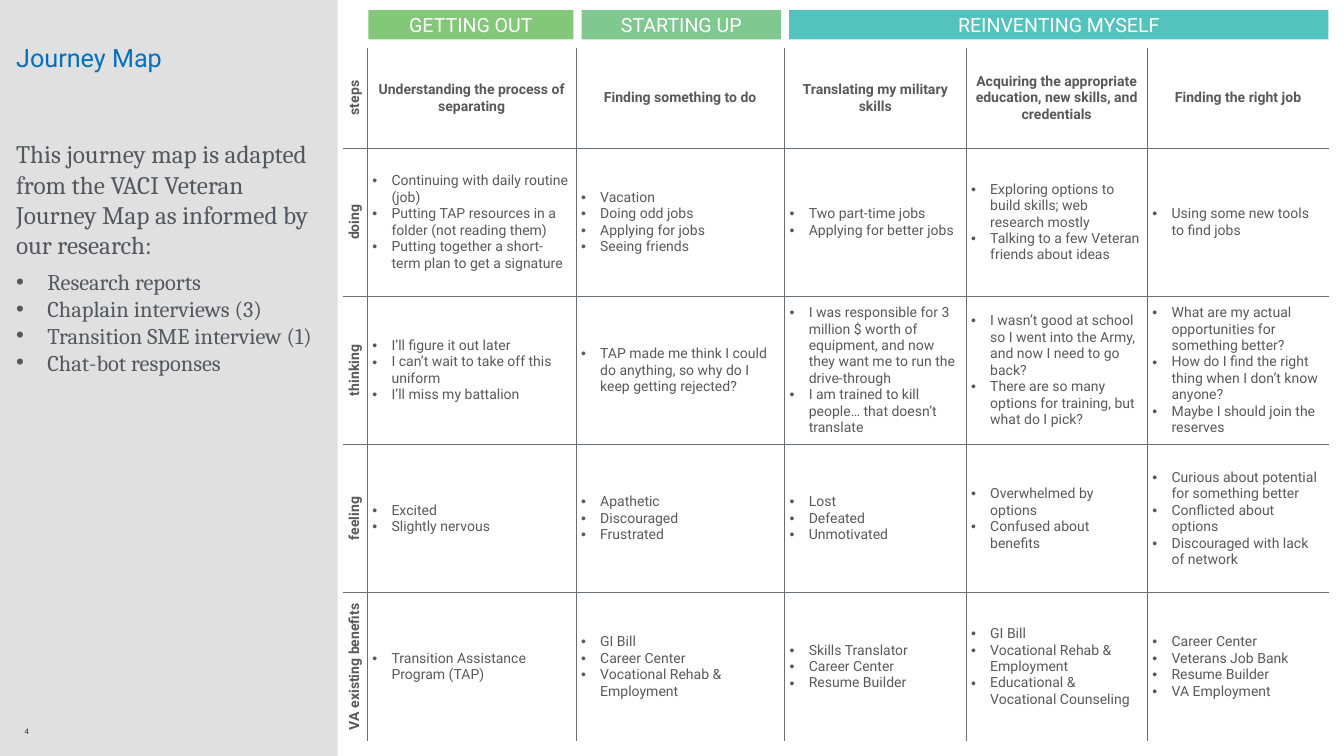
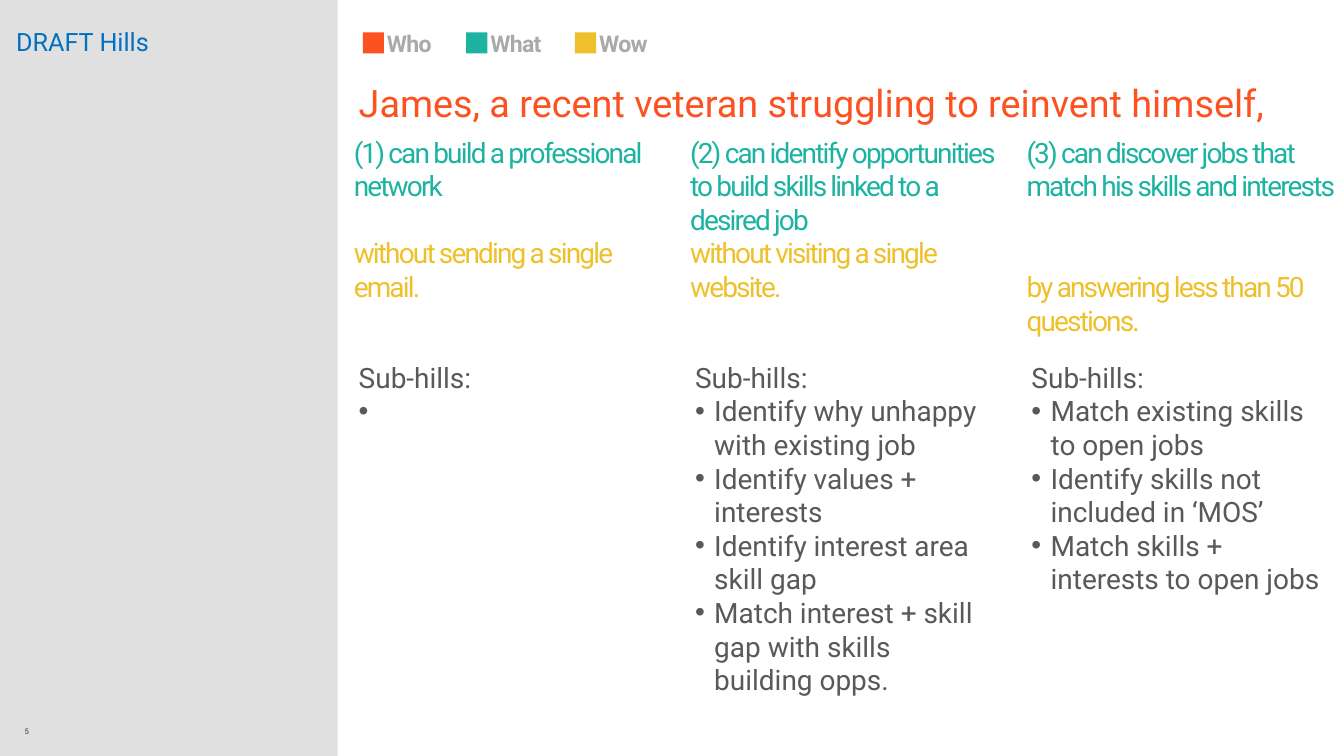
from itertools import accumulate

from lxml.etree import SubElement
from pptx import Presentation
from pptx.dml.color import RGBColor
from pptx.enum.shapes import MSO_SHAPE as Shape
from pptx.enum.text import MSO_ANCHOR as Anchor, MSO_AUTO_SIZE as AutoSize, PP_ALIGN as Align
from pptx.oxml.ns import qn
from pptx.util import Inches, Pt

COLORS = {
    "sidebar": "E0E0E0", "title": "0070C0", "number": "323232", "intro": "53585F",
    "text": "595959", "rule": "686F76", "white": "FFFFFF", "legend": "A9A9A9",
    "getting out": "83C879", "starting up": "81C890", "reinventing": "54C3BD",
    "who": "FC5120", "what": "1CB3A0", "wow": "EEC02B",
}
TITLE_ONLY = 5
BULLET_INDENT = 0.38
HILL_LINE = 48  # points per line of hill text

INTRO = "This journey map is adapted from the VACI Veteran Journey Map as informed by our research:"
SOURCES = ["Research reports", "Chaplain interviews (3)", "Transition SME interview (1)",
           "Chat-bot responses"]
PHASES = [("GETTING OUT", 4.07, "getting out"), ("STARTING UP", 3.96, "starting up"),
          ("REINVENTING MYSELF", 10.7, "reinventing")]
COLUMN_WIDTHS = [0.47, 4.14, 4.14, 3.6, 3.6, 3.6]
ROW_HEIGHTS = [1.99, 2.94, 2.94, 2.94, 2.94]
STEPS = ["Understanding the process of separating", "Finding something to do",
         "Translating my military skills",
         "Acquiring the appropriate education, new skills, and credentials",
         "Finding the right job"]
JOURNEY = {
    "doing": [
        ["Continuing with daily routine (job)",
         "Putting TAP resources in a folder (not reading them)",
         "Putting together a short-term plan to get a signature"],
        ["Vacation", "Doing odd jobs", "Applying for jobs", "Seeing friends"],
        ["Two part-time jobs", "Applying for better jobs"],
        ["Exploring options to build skills; web research mostly",
         "Talking to a few Veteran friends about ideas"],
        ["Using some new tools to find jobs"],
    ],
    "thinking": [
        ["I’ll figure it out later", "I can’t wait to take off this uniform",
         "I’ll miss my battalion"],
        ["TAP made me think I could do anything, so why do I keep getting rejected?"],
        ["I was responsible for 3 million $ worth of equipment, and now they want me "
         "to run the drive-through",
         "I am trained to kill people… that doesn’t translate"],
        ["I wasn’t good at school so I went into the Army, and now I need to go back?",
         "There are so many options for training, but what do I pick?"],
        ["What are my actual opportunities for something better?",
         "How do I find the right thing when I don’t know anyone?",
         "Maybe I should join the reserves"],
    ],
    "feeling": [
        ["Excited", "Slightly nervous"],
        ["Apathetic", "Discouraged", "Frustrated"],
        ["Lost", "Defeated", "Unmotivated"],
        ["Overwhelmed by options", "Confused about benefits"],
        ["Curious about potential for something better", "Conflicted about options",
         "Discouraged with lack of network"],
    ],
    "VA existing benefits": [
        ["Transition Assistance Program (TAP)"],
        ["GI Bill", "Career Center", "Vocational Rehab & Employment"],
        ["Skills Translator", "Career Center", "Resume Builder"],
        ["GI Bill", "Vocational Rehab & Employment", "Educational & Vocational Counseling"],
        ["Career Center", "Veterans Job Bank", "Resume Builder", "VA Employment"],
    ],
}

LEGEND = [("Who", 1.14, "who"), ("What", 1.25, "what"), ("Wow", 1.21, "wow")]
PERSONA = "James, a recent veteran struggling to reinvent himself,"
# what, wow, lines left open between them, sub-hills
HILLS = [
    ("(1) can build a professional network", "without sending a single email.", 1, [" "]),
    ("(2) can identify opportunities to build skills linked to a desired job",
     "without visiting a single website.", 0,
     ["Identify why unhappy with existing job", "Identify values + interests",
      "Identify interest area skill gap",
      "Match interest + skill gap with skills building opps."]),
    ("(3) can discover jobs that match his skills and interests",
     "by answering less than 50 questions.", 2,
     ["Match existing skills to open jobs", "Identify skills not included in ‘MOS’",
      "Match skills + interests to open jobs"]),
]


def rgb(name):
    return RGBColor.from_string(COLORS[name])


def write(frame, text, size, color="text", font="Roboto", bold=False, align=Align.LEFT,
          indent=0, before=0, after=0, tracking=0):
    """Add one paragraph to a frame; an indent makes it a bullet."""
    para = frame.add_paragraph() if frame.text else frame.paragraphs[0]
    para.alignment = align
    para.space_before, para.space_after = Pt(before), Pt(after)
    if indent:
        props = para._p.get_or_add_pPr()
        props.set("marL", str(Inches(indent)))
        props.set("indent", str(-Inches(indent)))
        SubElement(props, qn("a:buFont")).set("typeface", "Arial")
        SubElement(props, qn("a:buChar")).set("char", "•")
    span = para.add_run()
    span.text = text
    span.font.name, span.font.size, span.font.bold = font, Pt(size), bold
    span.font.color.rgb = rgb(color)
    if tracking:
        span._r.get_or_add_rPr().set("spc", str(round(tracking * 100)))


def set_frame(frame, inset, anchor=Anchor.TOP, wrap=True):
    frame.margin_left = frame.margin_right = Inches(inset)
    frame.margin_top = frame.margin_bottom = Inches(inset)
    frame.vertical_anchor = anchor
    frame.word_wrap = wrap
    frame.auto_size = AutoSize.NONE if wrap else AutoSize.SHAPE_TO_FIT_TEXT
    return frame


def add_box(page, left, top, width, height, inset=0, wrap=True):
    box = page.shapes.add_textbox(*map(Inches, (left, top, width, height)))
    return set_frame(box.text_frame, inset, wrap=wrap)


def add_block(page, left, top, width, height, color):
    block = page.shapes.add_shape(Shape.RECTANGLE, *map(Inches, (left, top, width, height)))
    block.shadow.inherit = False
    block.fill.solid()
    block.fill.fore_color.rgb = rgb(color)
    block.line.fill.background()
    return block


def add_page(deck, title, title_top, number):
    page = deck.slides.add_slide(deck.slide_layouts[TITLE_ONLY])
    sidebar = add_block(page, 0, 0, 6.7, 15, "sidebar")
    page.shapes.element.insert(2, sidebar.element)  # behind the title
    heading = page.shapes.title
    heading.left, heading.top = Inches(0.32), Inches(title_top)
    heading.width, heading.height = Inches(6.04), Inches(0.61)
    write(set_frame(heading.text_frame, 0), title, 36, "title")
    write(add_box(page, 0.36, 14.35, 0.34, 0.34, inset=0.08, wrap=False),
          str(number), 11, "number", align=Align.CENTER)
    return page


def set_borders(cell, outer_sides):
    """Rule all four sides of a cell, in white along the outside of the table."""
    props = cell._tc.get_or_add_tcPr()
    for place, side in enumerate("LRTB"):
        line = SubElement(props, qn(f"a:ln{side}"))
        line.set("w", str(Pt(1)))
        fill = SubElement(line, qn("a:solidFill"))
        color = COLORS["white" if side in outer_sides else "rule"]
        SubElement(fill, qn("a:srgbClr")).set("val", color)
        props.insert(place, line)


def add_journey_table(page):
    rows = [["steps", *STEPS]] + [[label, *cells] for label, cells in JOURNEY.items()]
    last_row, last_column = len(ROW_HEIGHTS) - 1, len(COLUMN_WIDTHS) - 1
    table = page.shapes.add_table(
        len(ROW_HEIGHTS), len(COLUMN_WIDTHS), Inches(6.82), Inches(0.95),
        Inches(sum(COLUMN_WIDTHS)), Inches(sum(ROW_HEIGHTS))).table
    table.first_row = table.horz_banding = False
    for column, width in zip(table.columns, COLUMN_WIDTHS):
        column.width = Inches(width)
    for row, height in zip(table.rows, ROW_HEIGHTS):
        row.height = Inches(height)
    for r, row in enumerate(rows):
        for c, content in enumerate(row):
            cell = table.cell(r, c)
            cell.vertical_anchor = Anchor.MIDDLE
            cell.fill.background()
            outer = {"L": c == 0, "R": c == last_column, "T": r == 0, "B": r == last_row}
            set_borders(cell, [side for side, is_outer in outer.items() if is_outer])
            if c == 0:
                cell._tc.get_or_add_tcPr().set("vert", "vert270")
            if isinstance(content, str):
                write(cell.text_frame, content, 20, bold=True, align=Align.CENTER)
            else:
                for item in content:
                    write(cell.text_frame, item, 20, indent=BULLET_INDENT)


def build_journey_map(deck):
    page = add_page(deck, "Journey Map", 0.84, 4)
    intro = add_box(page, 0.32, 2.75, 6.04, 4.75)
    write(intro, INTRO, 36, "intro", "Cambria", after=12)
    for source in SOURCES:
        write(intro, source, 32, "intro", "Cambria", indent=0.62)
    add_journey_table(page)
    lefts = accumulate((width + 0.16 for _, width, _ in PHASES), initial=7.31)
    for left, (name, width, color) in zip(lefts, PHASES):
        band = add_block(page, left, 0.2, width, 0.58, color)
        write(set_frame(band.text_frame, 0.06, Anchor.MIDDLE), name, 28, "white",
              align=Align.CENTER)


def build_hills(deck):
    page = add_page(deck, "DRAFT Hills", 0.53, 5)
    swatch = 0.42
    lefts = accumulate((swatch + width + 0.49 for _, width, _ in LEGEND), initial=7.2)
    for left, (name, width, color) in zip(lefts, LEGEND):
        add_block(page, left, 0.64, swatch, swatch, color)
        label = add_box(page, left + swatch, 0.53, width, 0.67, inset=0.06, wrap=False)
        write(label, name, 33, "legend", bold=True, tracking=-1)
    write(add_box(page, 7.02, 1.49, 19.48, 1.01, inset=0.1), PERSONA, 54, "who")
    for index, (what, wow, open_lines, sub_hills) in enumerate(HILLS):
        left = 7.02 + index * 6.675
        hill = add_box(page, left, 2.68, 6.15, 3.56)
        write(hill, what, 40, "what", tracking=-2.6)
        write(hill, wow, 40, "wow", before=open_lines * HILL_LINE, tracking=-2.6)
        details = add_box(page, left, 7.05, 6.02, 0.79 + 0.67 * 2 * len(sub_hills), inset=0.1)
        write(details, "Sub-hills:", 40)
        for sub_hill in sub_hills:
            write(details, sub_hill, 40, indent=BULLET_INDENT)


def main():
    deck = Presentation()
    deck.slide_width, deck.slide_height = Inches(26.67), Inches(15)
    build_journey_map(deck)
    build_hills(deck)
    deck.save("out.pptx")


if __name__ == "__main__":
    main()
